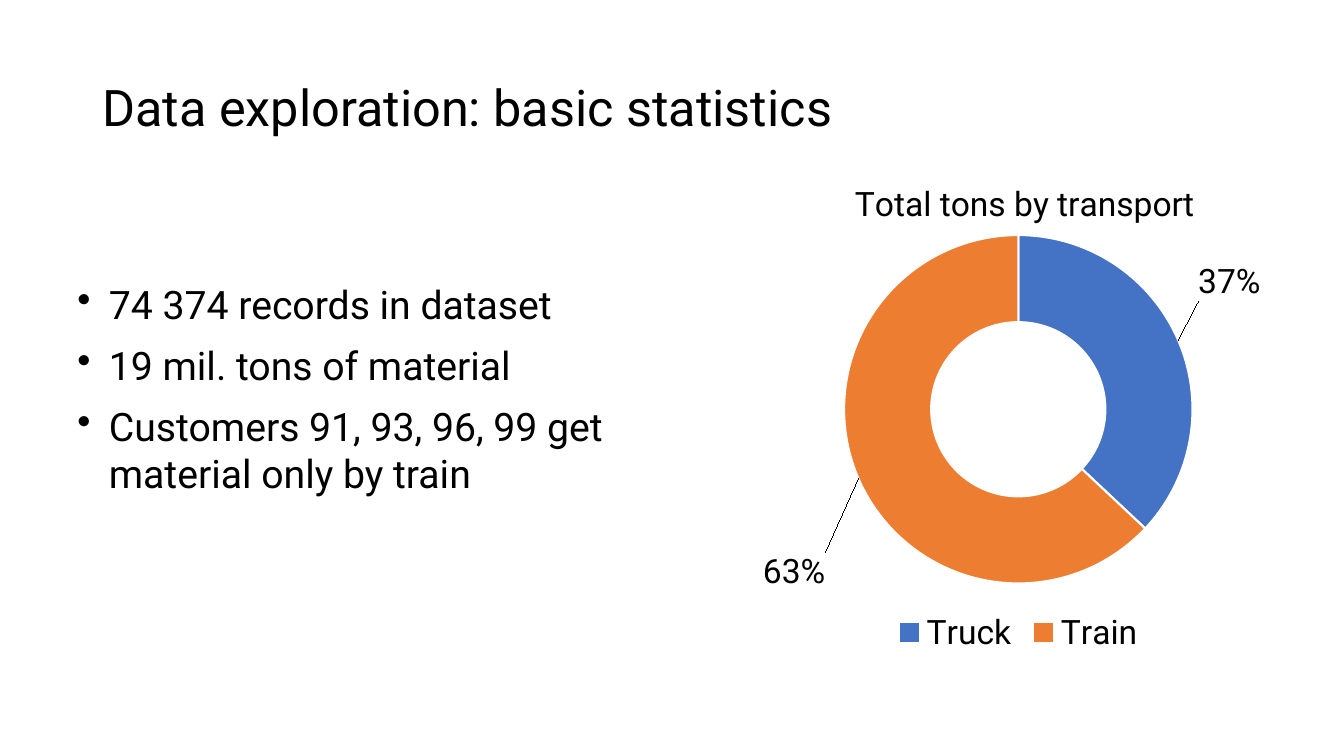
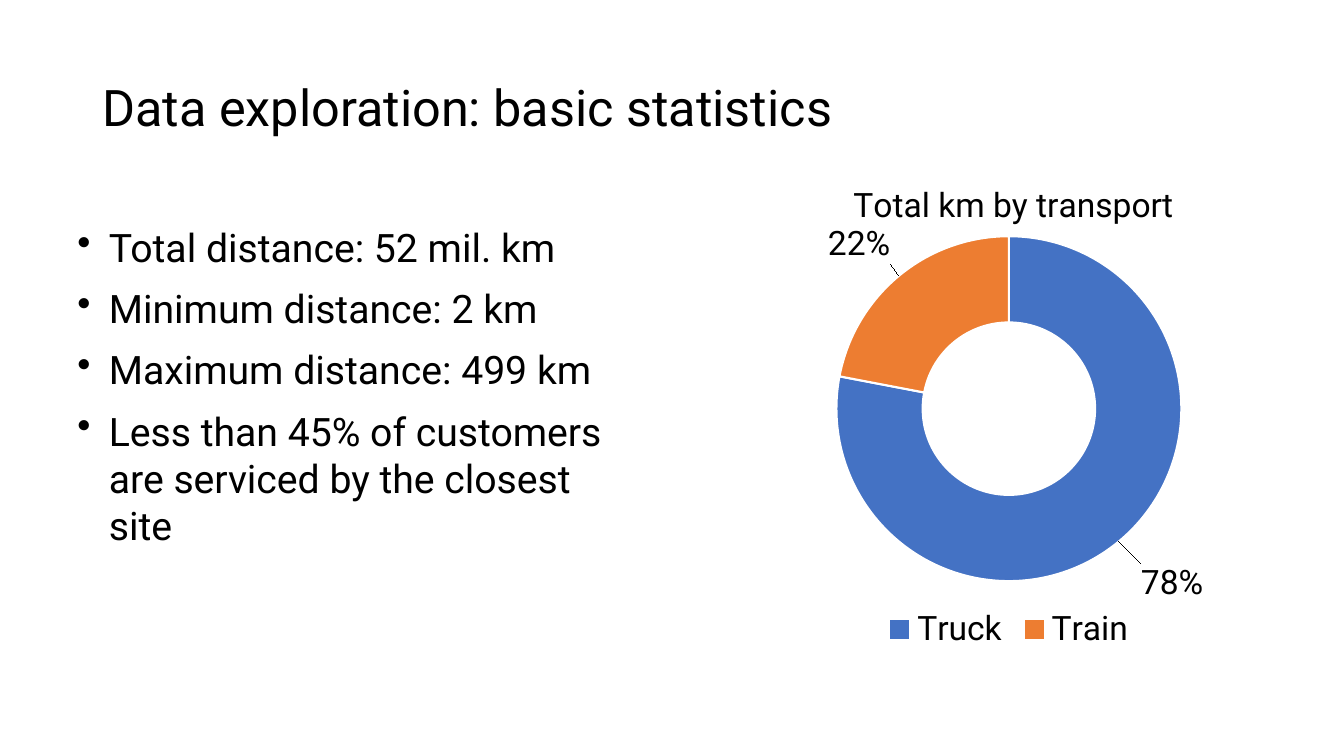
import dataclasses

import pptx
import pptx.chart.data
import pptx.dml.color
import pptx.enum.chart
import pptx.enum.text
import pptx.oxml
import pptx.util

Pt = pptx.util.Pt
CNS = "http://schemas.openxmlformats.org/drawingml/2006/chart"


# Colours, sizes and shared places
@dataclasses.dataclass(frozen=True)
class Theme:
    font: str = "Roboto"
    ink: str = "000000"
    paper: str = "FFFFFF"
    slices: tuple = ("4472C4", "ED7D31")
    head: int = 36
    body: int = 28
    label: int = 24
    title: tuple = (66, 28.8, 828, 104.4)
    hang: float = 22.5


THEME = Theme()
TITLE = "Data exploration: basic statistics"
CATS = ("Truck", "Train")

# Label shifts and layouts are fractions of the chart's width and height
SLIDES = (
    {
        "lines": ("74 374 records in dataset", "19 mil. tons of material",
                  "Customers 91, 93, 96, 99 get material only by train"),
        "text": (48.2, 196.6, 392.4, 187.2),
        "chart": (494.6, 110.2, 465.6, 360.7),
        "name": "Total tons by transport",
        "vals": (37, 63),
        "head": (0.24, 0.04),
        "ring": (0.23, 0.16, 0.54, 0.69),
        "shifts": ((0.14, -0.15), (-0.16, 0.22)),
    },
    {
        "lines": ("Total distance: 52 mil. km", "Minimum distance: 2 km",
                  "Maximum distance: 499 km",
                  "Less than 45% of customers are serviced by the closest site"),
        "text": (48.2, 156.2, 398.2, 267.1),
        "chart": (480.2, 111.6, 481, 357.1),
        "name": "Total km by transport",
        "vals": (78, 22),
        "head": (0.26, 0.04),
        "ring": (0.24, 0.16, 0.52, 0.69),
        "shifts": ((0.12, 0.15), (-0.1, -0.13)),
    },
)


def style(item, **vals):
    for key, val in vals.items():
        setattr(item, key, val)


def color(code):
    return pptx.dml.color.RGBColor.from_string(code)


def ink(font, size):
    style(font, name=THEME.font, size=Pt(size), bold=False)
    font.color.rgb = color(THEME.ink)


def place(shape, box):
    style(shape, **dict(zip(("left", "top", "width", "height"), map(Pt, box))))


# Title placeholder
def add_title(slide, text):
    shape = slide.shapes.title
    place(shape, THEME.title)
    frame = shape.text_frame
    style(frame, text=text, word_wrap=True,
          vertical_anchor=pptx.enum.text.MSO_ANCHOR.MIDDLE)
    para = frame.paragraphs[0]
    style(para, alignment=pptx.enum.text.PP_ALIGN.LEFT,
          line_spacing=0.75, space_before=Pt(14.2))
    ink(para.runs[0].font, THEME.head)


# Bulleted text
def add_list(slide, lines, box):
    frame = slide.shapes.add_textbox(*map(Pt, box)).text_frame
    style(frame, word_wrap=True, text="\n".join(lines))
    for para in frame.paragraphs:
        para.space_before = Pt(10)
        ink(para.runs[0].font, THEME.body)
        props = para._p.get_or_add_pPr()
        props.set("marL", str(Pt(THEME.hang)))
        props.set("indent", str(-Pt(THEME.hang)))
        mark = pptx.oxml.parse_xml(
            '<a:buChar xmlns:a="http://schemas.openxmlformats.org/'
            'drawingml/2006/main" char="\u2022"/>')
        props.append(mark)


# Chart layout XML
def layout(nums, edge=True, inner=False):
    tags = [("layoutTarget", "inner")] if inner else []
    if edge:
        tags += [("xMode", "edge"), ("yMode", "edge")]
    tags += zip("xywh", nums)
    body = "".join(f'<c:{tag} val="{val}"/>' for tag, val in tags)
    return f"<c:layout><c:manualLayout>{body}</c:manualLayout></c:layout>"


def node(text):
    cut = text.index(">")
    return pptx.oxml.parse_xml(f'{text[:cut]} xmlns:c="{CNS}"{text[cut:]}')


def set_layout(part, spot, text):
    for old in part.findall(f"{{{CNS}}}layout"):
        part.remove(old)
    part.insert(spot, node(text))


# Percent labels, moved off the ring
def add_labels(series, shifts):
    labels = series.data_labels
    style(labels, show_percentage=True, show_value=False)
    ink(labels.font, THEME.label)
    flags = "".join(
        f'<c:show{flag} val="{int(flag == "Percent")}"/>'
        for flag in ("LegendKey", "Val", "CatName", "SerName",
                     "Percent", "BubbleSize"))
    for idx, shift in enumerate(shifts):
        text = layout(shift, edge=False)
        labels._element.insert(
            idx, node(f'<c:dLbl><c:idx val="{idx}"/>{text}{flags}</c:dLbl>'))


# Doughnut chart
def add_ring(slide, data):
    table = pptx.chart.data.CategoryChartData()
    table.categories = CATS
    table.add_series("Series 1", data["vals"])
    kinds = pptx.enum.chart
    chart = slide.shapes.add_chart(
        kinds.XL_CHART_TYPE.DOUGHNUT, *map(Pt, data["chart"]), table).chart
    ink(chart.font, THEME.label)

    style(chart, has_title=True, has_legend=True)
    frame = chart.chart_title.text_frame
    frame.text = data["name"]
    ink(frame.paragraphs[0].runs[0].font, THEME.label)
    set_layout(chart.chart_title._element, 1, layout(data["head"]))
    style(chart.legend, position=kinds.XL_LEGEND_POSITION.BOTTOM,
          include_in_layout=False)
    ink(chart.legend.font, THEME.label)

    plot = chart.plots[0]
    plot.vary_by_categories = True
    set_layout(plot._element.getparent(), 0, layout(data["ring"], inner=True))
    series = plot.series[0]
    for idx, code in enumerate(THEME.slices):
        part = series.points[idx].format
        part.fill.solid()
        part.fill.fore_color.rgb = color(code)
        part.line.color.rgb = color(THEME.paper)
        part.line.width = Pt(1.5)
    add_labels(series, data["shifts"])


def main():
    deck = pptx.Presentation()
    style(deck, slide_width=Pt(960), slide_height=Pt(540))
    for data in SLIDES:
        slide = deck.slides.add_slide(deck.slide_layouts[5])
        add_title(slide, TITLE)
        add_list(slide, data["lines"], data["text"])
        add_ring(slide, data)
    deck.save("out.pptx")


main()
